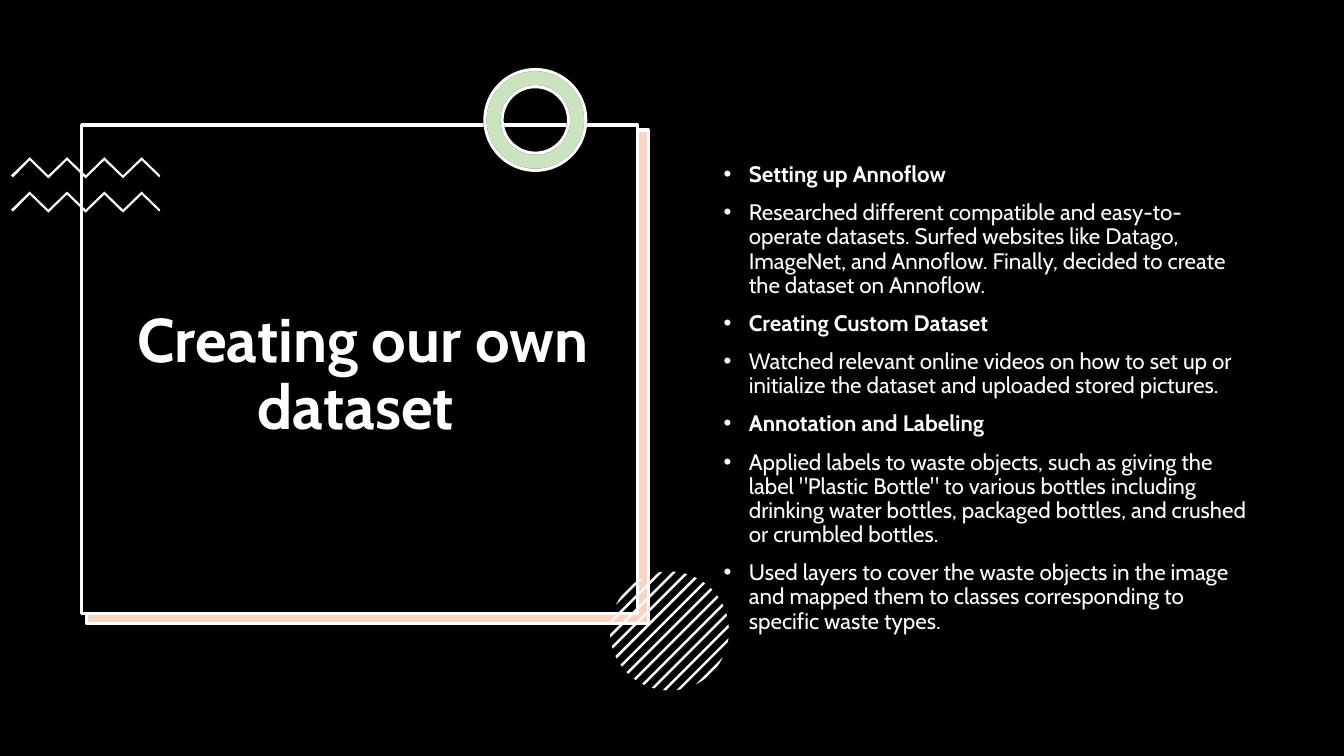
import math
from dataclasses import dataclass

import pptx
import pptx.dml.color
import pptx.enum.shapes
import pptx.enum.text
import pptx.oxml
import pptx.oxml.ns
import pptx.util
from lxml import etree

Inches = pptx.util.Inches
Kind = pptx.enum.shapes.MSO_SHAPE
Point = tuple[float, float]


@dataclass(frozen=True)
class Theme:
    font: str = "Cabin"
    black: str = "000000"
    white: str = "FFFFFF"
    peach: str = "E97132"
    green: str = "4EA72E"
    title: float = 44
    body: float = 16
    gap: float = 10
    line: float = 2.25


@dataclass(frozen=True)
class Panel:
    left: float
    top: float
    width: float
    height: float
    fill: str
    line: str = ""
    alpha: int = 100
    ring: bool = False


@dataclass(frozen=True)
class Item:
    text: str
    bold: bool = False


THEME = Theme()
WIDE, HIGH = 13.33, 7.5

PANELS = [
    Panel(0, 0, WIDE, HIGH, THEME.black),
    Panel(0.85, 1.3, 5.57, 4.9, THEME.white),
    Panel(0.86, 1.29, 5.57, 4.9, THEME.peach, THEME.white, 30),
    Panel(0.81, 1.24, 5.51, 4.85, THEME.black, THEME.white),
]
RINGS = [
    Panel(4.81, 0.69, 1, 1, THEME.white, THEME.black, ring=True),
    Panel(4.81, 0.69, 1, 1, THEME.green, THEME.white, 30, ring=True),
]
ITEMS = [
    Item("Setting up Annoflow", True),
    Item("Researched different compatible and easy-to-operate datasets. "
         "Surfed websites like Datago, ImageNet, and Annoflow. "
         "Finally, decided to create the dataset on Annoflow."),
    Item("Creating Custom Dataset", True),
    Item("Watched relevant online videos on how to set up or initialize "
         "the dataset and uploaded stored pictures."),
    Item("Annotation and Labeling", True),
    Item('Applied labels to waste objects, such as giving the label "Plastic Bottle" '
         "to various bottles including drinking water bottles, packaged bottles, "
         "and crushed or crumbled bottles."),
    Item("Used layers to cover the waste objects in the image and mapped them "
         "to classes corresponding to specific waste types."),
]


def color(code: str) -> pptx.dml.color.RGBColor:
    return pptx.dml.color.RGBColor.from_string(code)


def paint(shape, fill: str, line: str = "", alpha: int = 100) -> None:
    shape.shadow.inherit = False
    shape.fill.solid()
    shape.fill.fore_color.rgb = color(fill)
    if alpha < 100:
        tint = shape._element.find(".//" + pptx.oxml.ns.qn("a:srgbClr"))
        etree.SubElement(tint, pptx.oxml.ns.qn("a:alpha"), val=str(alpha * 1000))
    if line:
        shape.line.color.rgb = color(line)
        shape.line.width = pptx.util.Pt(THEME.line)
    else:
        shape.line.fill.background()


def draw_panel(slide, panel: Panel) -> None:
    kind = Kind.DONUT if panel.ring else Kind.RECTANGLE
    shape = slide.shapes.add_shape(
        kind, Inches(panel.left), Inches(panel.top),
        Inches(panel.width), Inches(panel.height))
    if panel.ring:
        shape.adjustments[0] = 0.17
    paint(shape, panel.fill, panel.line, panel.alpha)


def draw_shape(group, points: list[Point]) -> None:
    spots = [(Inches(x), Inches(y)) for x, y in points]
    pen = group.shapes.build_freeform(*spots[0], scale=1.0)
    pen.add_line_segments(spots[1:], close=True)
    paint(pen.convert_to_shape(), THEME.white)


def draw_waves(slide, left: float, tops: list[float]) -> None:
    group = slide.shapes.add_group_shape()
    step, rise, thick, trim = 1.48 / 8, 0.18, 0.03, 0.01
    for top in tops:
        upper = [(left + i * step, top + (0 if i % 2 else rise)) for i in range(9)]
        lower = [(x, y + thick) for x, y in upper]
        lower[0] = (left + 2 * trim, top + rise + 2 * trim)
        lower[-1] = (left + 8 * step - trim, top + rise + 2 * trim)
        draw_shape(group, upper + lower[::-1])


def draw_disc(slide, mid: Point, radius: float) -> None:
    group = slide.shapes.add_group_shape()
    pitch, half, steps = 1 / 6.2, 1 / 48, 8

    def angle(dist: float) -> float:
        return math.acos(max(-1.0, min(1.0, dist)))

    for row in range(-6, 7):
        start, end = angle(row * pitch - half), angle(row * pitch + half)
        arc = [start + (end - start) * i / steps for i in range(steps + 1)]
        turns = arc + [-turn for turn in reversed(arc)]
        draw_shape(group, [
            (mid[0] + radius * math.cos(math.pi / 4 + turn),
             mid[1] + radius * math.sin(math.pi / 4 + turn)) for turn in turns])


def add_box(slide, left: float, top: float, width: float, height: float):
    box = slide.shapes.add_textbox(
        Inches(left), Inches(top), Inches(width), Inches(height))
    box.text_frame.word_wrap = True
    return box.text_frame


def style(para, size: float, bold: bool) -> None:
    para.line_spacing = 0.9
    para.font.name = THEME.font
    para.font.size = pptx.util.Pt(size)
    para.font.bold = bold
    para.font.color.rgb = color(THEME.white)


def add_bullet(para) -> None:
    props = para._p.get_or_add_pPr()
    props.set("marL", str(Inches(0.25)))
    props.set("indent", str(-Inches(0.25)))
    tint = etree.SubElement(props, pptx.oxml.ns.qn("a:buClr"))
    etree.SubElement(tint, pptx.oxml.ns.qn("a:srgbClr"), val=THEME.white)
    etree.SubElement(props, pptx.oxml.ns.qn("a:buFont"), typeface="Arial")
    etree.SubElement(props, pptx.oxml.ns.qn("a:buChar"), char="•")


def write_title(slide) -> None:
    frame = add_box(slide, 0.92, 1.52, 5.36, 4.42)
    frame.vertical_anchor = pptx.enum.text.MSO_ANCHOR.MIDDLE
    para = frame.paragraphs[0]
    para.text = "Creating our own dataset "
    para.alignment = pptx.enum.text.PP_ALIGN.CENTER
    style(para, THEME.title, True)


def write_body(slide) -> None:
    frame = add_box(slide, 7.08, 1.57, 5.44, 4.76)
    for i, item in enumerate(ITEMS):
        para = frame.add_paragraph() if i else frame.paragraphs[0]
        para.text = item.text
        add_bullet(para)
        if i:
            para.space_before = pptx.util.Pt(THEME.gap)
        style(para, THEME.body, item.bold)


def main() -> None:
    deck = pptx.Presentation()
    deck.slide_width, deck.slide_height = Inches(WIDE), Inches(HIGH)
    slide = deck.slides.add_slide(deck.slide_layouts[6])
    for panel in PANELS:
        draw_panel(slide, panel)
    draw_waves(slide, 0.11, [1.56, 1.9])
    for ring in RINGS:
        draw_panel(slide, ring)
    draw_disc(slide, (6.64, 6.26), 0.59)
    write_title(slide)
    write_body(slide)
    deck.save("out.pptx")


if __name__ == "__main__":
    main()
